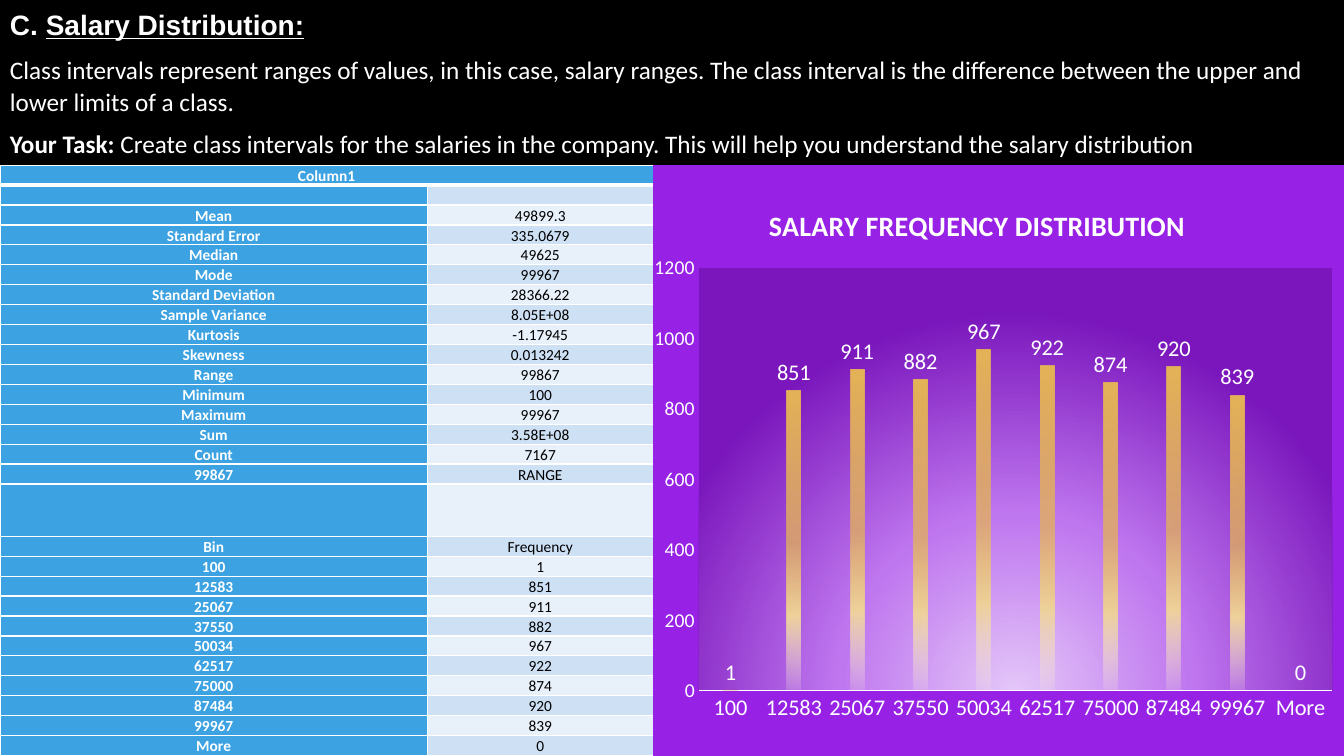
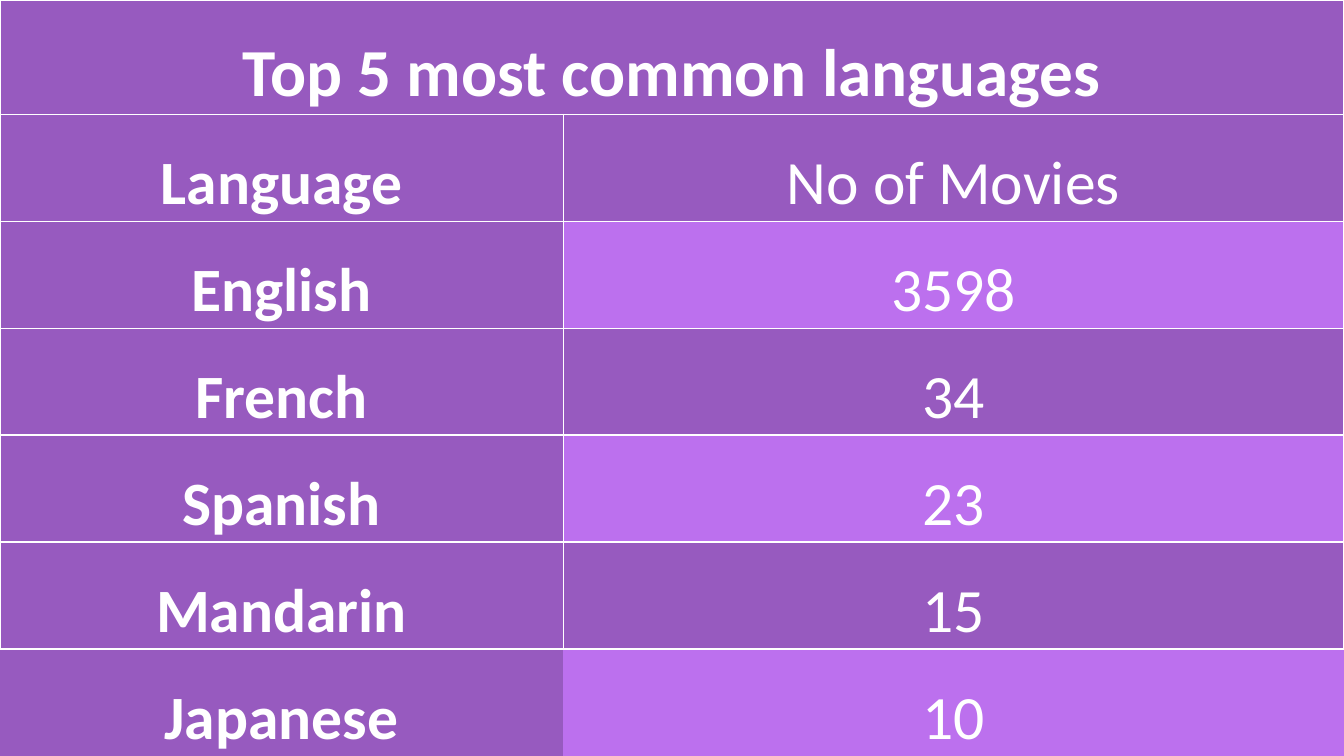
from dataclasses import dataclass

from lxml import etree
from pptx import Presentation
from pptx.chart.data import CategoryChartData
from pptx.dml.color import RGBColor
from pptx.enum.chart import XL_CHART_TYPE, XL_LABEL_POSITION, XL_TICK_MARK
from pptx.enum.text import MSO_ANCHOR, PP_ALIGN
from pptx.oxml import parse_xml
from pptx.oxml.ns import nsdecls, qn
from pptx.util import Pt

COLUMNS = XL_CHART_TYPE.COLUMN_CLUSTERED
OUTSIDE_END = XL_LABEL_POSITION.OUTSIDE_END
NO_TICK = XL_TICK_MARK.NONE
BOTTOM = MSO_ANCHOR.BOTTOM
CENTER = PP_ALIGN.CENTER


@dataclass(frozen=True)
class Theme:
    background: str = "000000"
    light: str = "FFFFFF"
    dark: str = "000000"
    blue: str = "3CA2E2"
    blue_band: str = "CEE0F4"
    blue_pale: str = "E8F0FA"
    purple: str = "975ABF"
    purple_band: str = "BC70EE"
    chart_fill: str = "9722E5"
    plot_stops: tuple = ((0, "E4C6F8", 100), (46, "BF77EF", 100), (100, "7A16BC", 100))
    bar_stops: tuple = ((0, "E5B458", 100), (51, "E5B458", 75),
                        (75, "EFD29B", 100), (100, "FAF0DE", 15))
    body_font: str = "Calibri"
    heading_font: str = "Arial"
    heading_size: float = 20
    body_size: float = 18
    statistics_size: float = 11
    chart_title_size: float = 20
    label_size: float = 16
    scale_size: float = 14
    table_title_size: float = 48
    table_size: float = 44
    line_spacing: float = 1.07
    space_after: float = 8


@dataclass(frozen=True)
class TableLook:
    key_fill: str
    odd_fill: str
    even_fill: str
    value_color: str
    title_size: float
    size: float
    side_margin: float


THEME = Theme()
STATISTICS_LOOK = TableLook(THEME.blue, THEME.blue_band, THEME.blue_pale, THEME.dark,
                            THEME.statistics_size, THEME.statistics_size, 3.6)
LANGUAGES_LOOK = TableLook(THEME.purple, THEME.purple, THEME.purple_band, THEME.light,
                           THEME.table_title_size, THEME.table_size, 5)

WIDTH, HEIGHT = 960, 540
INTRO_HEIGHT = 118
STATISTICS_COLUMNS = (305.3, 161.3)
STATISTICS_ROW, SPACER_ROW = 14.24, 37.4
LANGUAGE_COLUMNS = (402.4, 557.6)
LANGUAGE_TITLE_ROW, LANGUAGE_ROW = 81.6, 76.4

STATISTICS = [
    ("Mean", "49899.3"), ("Standard Error", "335.0679"), ("Median", "49625"),
    ("Mode", "99967"), ("Standard Deviation", "28366.22"),
    ("Sample Variance", "8.05E+08"), ("Kurtosis", "-1.17945"),
    ("Skewness", "0.013242"), ("Range", "99867"), ("Minimum", "100"),
    ("Maximum", "99967"), ("Sum", "3.58E+08"), ("Count", "7167"), ("99867", "RANGE"),
]
FREQUENCIES = [
    ("100", 1), ("12583", 851), ("25067", 911), ("37550", 882), ("50034", 967),
    ("62517", 922), ("75000", 874), ("87484", 920), ("99967", 839), ("More", 0),
]
LANGUAGES = [
    ("Language", "No of Movies"), ("English", "3598"), ("French", "34"),
    ("Spanish", "23"), ("Mandarin", "15"), ("Japanese", "10"),
]


def rgb(color):
    return RGBColor.from_string(color)


def style_font(font, size, color, bold=False, name=THEME.body_font):
    font.name = name
    font.size = Pt(size)
    font.bold = bold
    font.color.rgb = rgb(color)


def add_slide(deck):
    slide = deck.slides.add_slide(deck.slide_layouts[6])
    slide.background.fill.solid()
    slide.background.fill.fore_color.rgb = rgb(THEME.background)
    return slide


def add_intro(slide):
    intro = slide.shapes.add_textbox(0, 0, Pt(WIDTH), Pt(INTRO_HEIGHT)).text_frame
    intro.word_wrap = True
    heading = intro.paragraphs[0]
    definition, task = intro.add_paragraph(), intro.add_paragraph()

    style_font(heading.font, THEME.heading_size, THEME.light, True, THEME.heading_font)
    heading.add_run().text = "C. "
    topic = heading.add_run()
    topic.text = "Salary Distribution:"
    topic.font.underline = True

    for paragraph in (definition, task):
        style_font(paragraph.font, THEME.body_size, THEME.light)
    definition.add_run().text = (
        "Class intervals represent ranges of values, in this case, salary ranges. "
        "The class interval is the difference between the upper and lower limits of a class.")
    lead = task.add_run()
    lead.text = "Your Task:"
    lead.font.bold = True
    task.add_run().text = (
        " Create class intervals for the salaries in the company. "
        "This will help you understand the salary distribution")
    for paragraph in (heading, definition):
        paragraph.line_spacing = THEME.line_spacing
        paragraph.space_after = Pt(THEME.space_after)


def set_borders(cell, widths):
    properties = cell._tc.get_or_add_tcPr()
    for position, side in enumerate("LRTB"):
        width = widths.get(side, 0)
        border = etree.Element(qn(f"a:ln{side}"), w=str(Pt(width)))
        if width:
            fill = etree.SubElement(border, qn("a:solidFill"))
            etree.SubElement(fill, qn("a:srgbClr"), val=THEME.light)
        else:
            etree.SubElement(border, qn("a:noFill"))
        properties.insert(position, border)


def fill_cell(cell, text, fill, size, color, bold, margin):
    cell.fill.solid()
    cell.fill.fore_color.rgb = rgb(fill)
    cell.vertical_anchor = BOTTOM
    cell.margin_left = cell.margin_right = Pt(margin)
    cell.margin_top = cell.margin_bottom = 0
    paragraph = cell.text_frame.paragraphs[0]
    if text:
        paragraph.add_run().text = text
    paragraph.alignment = CENTER
    paragraph.line_spacing = THEME.line_spacing
    paragraph.space_after = Pt(THEME.space_after)
    style_font(paragraph.font, size, color, bold)


def add_pair_table(slide, top, title, pairs, columns, heights, look, edges):
    rows = [(title, "")] + pairs
    table = slide.shapes.add_table(len(rows), len(columns), 0, Pt(top),
                                   Pt(sum(columns)), Pt(sum(heights))).table
    table.first_row = table.horz_banding = False
    for column, width in zip(table.columns, columns):
        column.width = Pt(width)
    for row, height in zip(table.rows, heights):
        row.height = Pt(height)
    table.cell(0, 0).merge(table.cell(0, 1))

    for index, pair in enumerate(rows):
        is_title = index == 0
        size = look.title_size if is_title else look.size
        band = look.odd_fill if index % 2 else look.even_fill
        for column, text in enumerate(pair):
            is_key = is_title or column == 0
            cell = table.cell(index, column)
            fill_cell(cell, text, look.key_fill if is_key else band, size,
                      THEME.light if is_key else look.value_color, is_key,
                      look.side_margin)
            set_borders(cell, {**dict.fromkeys("LRTB", 1), **edges.get(index, {})})


def gradient_xml(stops, direction):
    colors = "".join(
        f'<a:gs pos="{place * 1000}"><a:srgbClr val="{color}">'
        f'<a:alpha val="{opacity * 1000}"/></a:srgbClr></a:gs>'
        for place, color, opacity in stops)
    return f"<a:gradFill><a:gsLst>{colors}</a:gsLst>{direction}</a:gradFill>"


def chart_fill(content):
    return parse_xml(f'<c:spPr {nsdecls("c", "a")}>{content}<a:ln><a:noFill/></a:ln></c:spPr>')


def set_layout(element, target="", **fractions):
    layout = element.find(qn("c:layout"))
    if layout is None:
        layout = etree.Element(qn("c:layout"))
        element.insert(0, layout)
    manual = etree.SubElement(layout, qn("c:manualLayout"))
    if target:
        etree.SubElement(manual, qn("c:layoutTarget"), val=target)
    for axis in "xy":
        etree.SubElement(manual, qn(f"c:{axis}Mode"), val="edge")
    for name, value in fractions.items():
        etree.SubElement(manual, qn(f"c:{name}"), val=str(value))


def add_frequency_chart(slide, left, top):
    data = CategoryChartData()
    data.categories = [label for label, _ in FREQUENCIES]
    data.add_series("Series 1", [count for _, count in FREQUENCIES])
    chart = slide.shapes.add_chart(COLUMNS, Pt(left), Pt(top), Pt(WIDTH - left),
                                   Pt(HEIGHT - top), data).chart
    style_font(chart.font, 10, THEME.light)
    chart.has_legend = False
    chart.has_title = True
    title = chart.chart_title.text_frame.paragraphs[0]
    title.add_run().text = "SALARY FREQUENCY DISTRIBUTION"
    style_font(title.font, THEME.chart_title_size, THEME.light, True)

    bins, scale = chart.category_axis, chart.value_axis
    for axis, size in ((bins, THEME.label_size), (scale, THEME.scale_size)):
        axis.major_tick_mark = axis.minor_tick_mark = NO_TICK
        axis.has_major_gridlines = False
        style_font(axis.tick_labels.font, size, THEME.light)
    bins.format.line.color.rgb = rgb(THEME.light)
    bins.format.line.width = Pt(0.75)
    scale.format.line.fill.background()
    scale.minimum_scale, scale.maximum_scale, scale.major_unit = 0, 1200, 200

    bars = chart.plots[0]
    bars.vary_by_categories = False
    bars.gap_width, bars.overlap = 355, -70
    bars.has_data_labels = True
    labels = bars.data_labels
    labels.show_value = True
    labels.position = OUTSIDE_END
    style_font(labels.font, THEME.label_size, THEME.light)

    frame = chart.element.find(qn("c:chart"))
    plot_area = frame.find(qn("c:plotArea"))
    set_layout(frame.find(qn("c:title")), x=0.16, y=0.06)
    set_layout(plot_area, "inner", x=0.066, y=0.174, w=0.917, h=0.716)
    frame.addnext(chart_fill(
        f'<a:solidFill><a:srgbClr val="{THEME.chart_fill}"/></a:solidFill>'))
    plot_area.append(chart_fill(gradient_xml(
        THEME.plot_stops,
        '<a:path path="circle"><a:fillToRect l="50000" t="130000" r="50000" b="-30000"/></a:path>')))
    series = plot_area.find(".//" + qn("c:ser"))
    series.get_or_add_spPr().append(parse_xml(
        gradient_xml(THEME.bar_stops, '<a:lin ang="5400000" scaled="0"/>')
        .replace("<a:gradFill>", f'<a:gradFill {nsdecls("a")}>', 1)))


def add_salary_slide(deck):
    slide = add_slide(deck)
    add_intro(slide)
    counts = [(label, str(count)) for label, count in FREQUENCIES]
    pairs = [("", "")] + STATISTICS + [("", ""), ("Bin", "Frequency")] + counts
    heights = [STATISTICS_ROW] * (len(pairs) + 1)
    heights[len(STATISTICS) + 2] = SPACER_ROW
    add_pair_table(slide, INTRO_HEIGHT, "Column1", pairs, STATISTICS_COLUMNS, heights,
                   STATISTICS_LOOK, {0: {"B": 3}, 1: {"T": 3}})
    add_frequency_chart(slide, sum(STATISTICS_COLUMNS), INTRO_HEIGHT)


def add_languages_slide(deck):
    heights = [LANGUAGE_TITLE_ROW] + [LANGUAGE_ROW] * len(LANGUAGES)
    add_pair_table(add_slide(deck), 0, "Top 5 most common languages", LANGUAGES,
                   LANGUAGE_COLUMNS, heights, LANGUAGES_LOOK,
                   {len(LANGUAGES): {"L": 0, "R": 0, "B": 0}})


def main():
    deck = Presentation()
    deck.slide_width, deck.slide_height = Pt(WIDTH), Pt(HEIGHT)
    add_salary_slide(deck)
    add_languages_slide(deck)
    deck.save("out.pptx")


if __name__ == "__main__":
    main()
